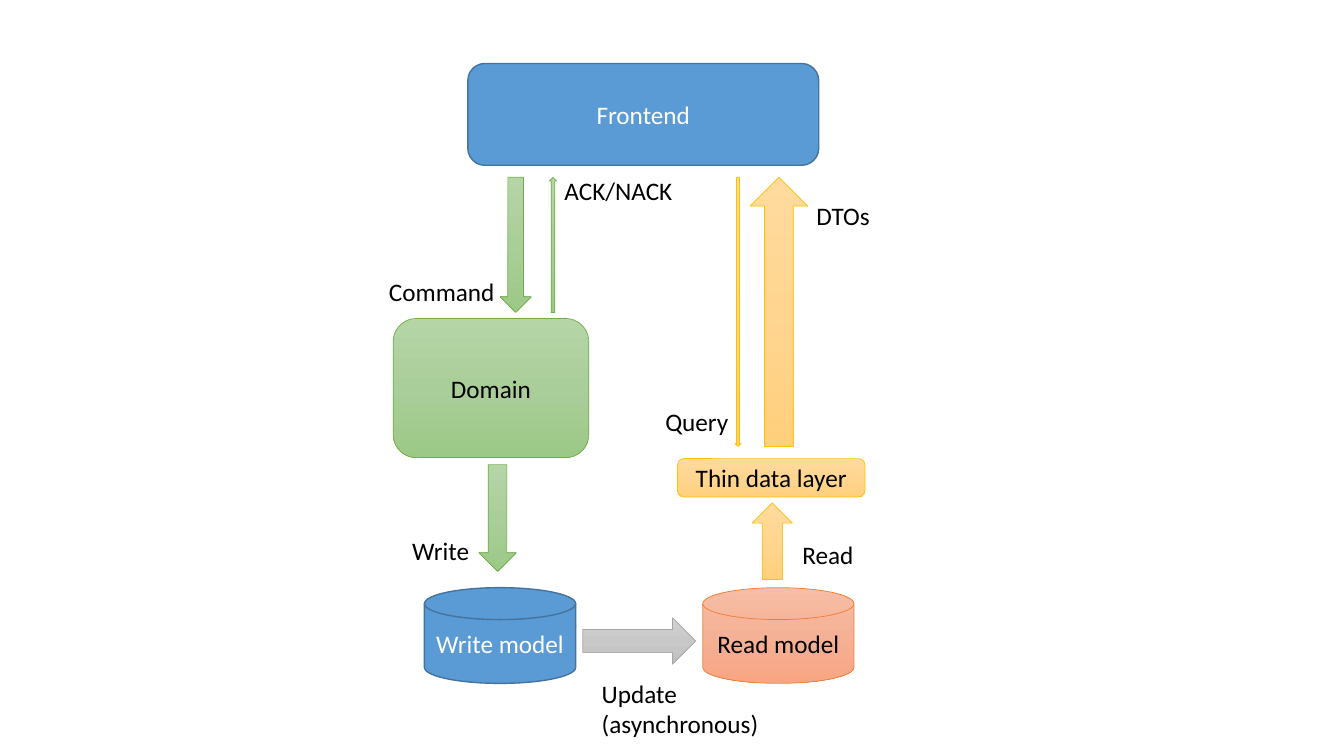
"""Build a CQRS architecture diagram with separate write and read paths."""
from copy import deepcopy

from pptx import Presentation
from pptx.dml.color import RGBColor
from pptx.enum import shapes, text
from pptx.oxml.ns import qn
from pptx.util import Inches, Pt

COLOURS = {"blue": "5B9BD5", "navy": "43739E", "white": "FFFFFF", "black": "000000",
           "green": "70AD47", "gold": "FFC000", "orange": "ED7D31", "grey": "A5A5A5"}
GRADIENTS = {"green": ("B5D5A7", "AACE9A", "9CC987"),
             "gold": ("FFDB9E", "FFD590", "FFD07C"),
             "orange": ("F7BDA5", "F5B196", "F8A582"),
             "grey": ("D2D2D2", "C8C8C8", "C0C0C0")}
KIND = shapes.MSO_SHAPE
DISK, BOX = KIND.FLOWCHART_MAGNETIC_DISK, KIND.ROUNDED_RECTANGLE
UP, DOWN, RIGHT = KIND.UP_ARROW, KIND.DOWN_ARROW, KIND.RIGHT_ARROW
CENTRED = {"vertical_anchor": text.MSO_ANCHOR.MIDDLE, "word_wrap": True}
FREE = {"word_wrap": False, "auto_size": text.MSO_AUTO_SIZE.SHAPE_TO_FIT_TEXT}


def rgb(name):
    return RGBColor.from_string(COLOURS[name])


def write(frame, words, colour, align, frame_format):
    frame.text = words
    for key, value in frame_format.items():
        setattr(frame, key, value)
    for paragraph in frame.paragraphs:
        paragraph.alignment = align
        font = paragraph.runs[0].font
        for key, value in {"name": "Calibri", "size": Pt(18)}.items():
            setattr(font, key, value)
        font.color.rgb = rgb(colour)


def shade(part, scheme):
    fill = part.fill
    fill.gradient()
    fill.gradient_angle = 270
    stops = part._element.spPr.find(".//" + qn("a:gsLst"))
    stops.insert(1, deepcopy(stops[0]))
    for stop, position, colour in zip(fill.gradient_stops, (0, 0.5, 1), GRADIENTS[scheme]):
        stop.position = position
        stop.color.rgb = RGBColor.from_string(colour)


def add_part(slide, kind, place, scheme, words=""):
    part = slide.shapes.add_shape(kind, *map(Inches, place))
    part.shadow.inherit = False
    solid = scheme == "blue"
    if solid:
        part.fill.solid()
        part.fill.fore_color.rgb = rgb(scheme)
    else:
        shade(part, scheme)
    part.line.color.rgb = rgb("navy" if solid else scheme)
    part.line.width = Pt(1 if solid else 0.5)
    if words:
        write(part.text_frame, words, "white" if solid else "black",
              text.PP_ALIGN.CENTER, CENTRED)


def add_label(slide, place, words):
    label = slide.shapes.add_textbox(*map(Inches, place))
    write(label.text_frame, words, "black", text.PP_ALIGN.LEFT, FREE)


def main():
    deck = Presentation()
    deck.slide_width, deck.slide_height = Inches(13.33), Inches(7.5)
    slide = deck.slides.add_slide(deck.slide_layouts[6])

    for kind, place, scheme, words in (
            (DISK, (4.21, 5.83, 1.5, 0.95), "blue", "Write model"),
            (BOX, (4.64, 0.63, 3.48, 1.01), "blue", "Frontend"),
            (BOX, (3.9, 3.16, 1.94, 1.38), "green", "Domain"),
            (BOX, (6.72, 4.55, 1.86, 0.38), "gold", "Thin data layer"),
            (DISK, (6.97, 5.83, 1.5, 0.95), "orange", "Read model")):
        add_part(slide, kind, place, scheme, words)

    for kind, place, scheme in (
            (UP, (7.44, 1.76, 0.57, 2.67), "gold"),
            (DOWN, (7.29, 1.76, 0.06, 2.67), "gold"),
            (DOWN, (4.96, 1.76, 0.31, 1.34), "green"),
            (UP, (5.45, 1.76, 0.07, 1.34), "green"),
            (DOWN, (4.75, 4.61, 0.37, 1.06), "green"),
            (UP, (7.46, 4.99, 0.4, 0.76), "gold"),
            (RIGHT, (5.78, 6.13, 1.12, 0.46), "grey")):
        add_part(slide, kind, place, scheme)

    for place, words in (
            ((8, 1.94, 0.74, 0.4), "DTOs"),
            ((6.5, 3.98, 0.83, 0.4), "Query"),
            ((3.76, 2.69, 1.26, 0.4), "Command"),
            ((5.5, 1.69, 1.28, 0.4), "ACK/NACK"),
            ((7.86, 5.3, 0.71, 0.4), "Read"),
            ((3.99, 5.26, 0.77, 0.4), "Write"),
            ((5.87, 6.68, 1.77, 0.71), "Update\n(asynchronous)")):
        add_label(slide, place, words)

    deck.save("out.pptx")


if __name__ == "__main__":
    main()
